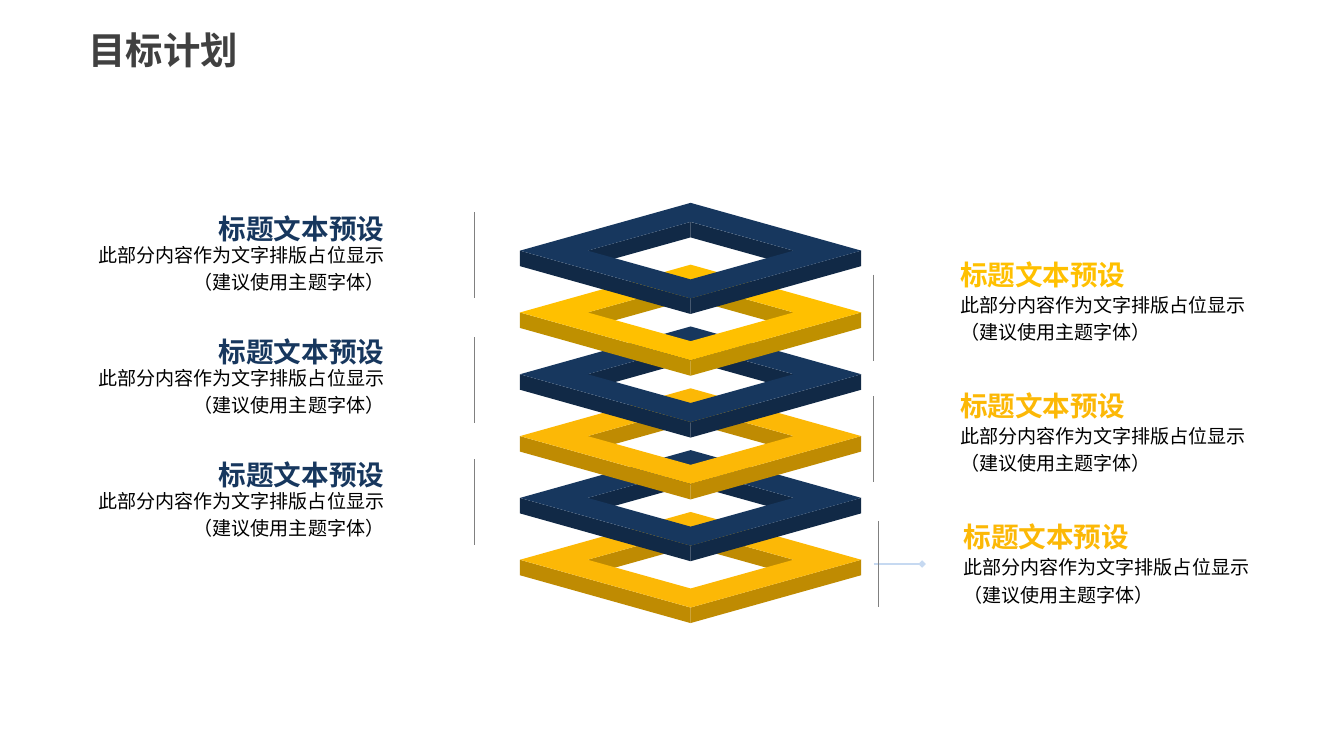
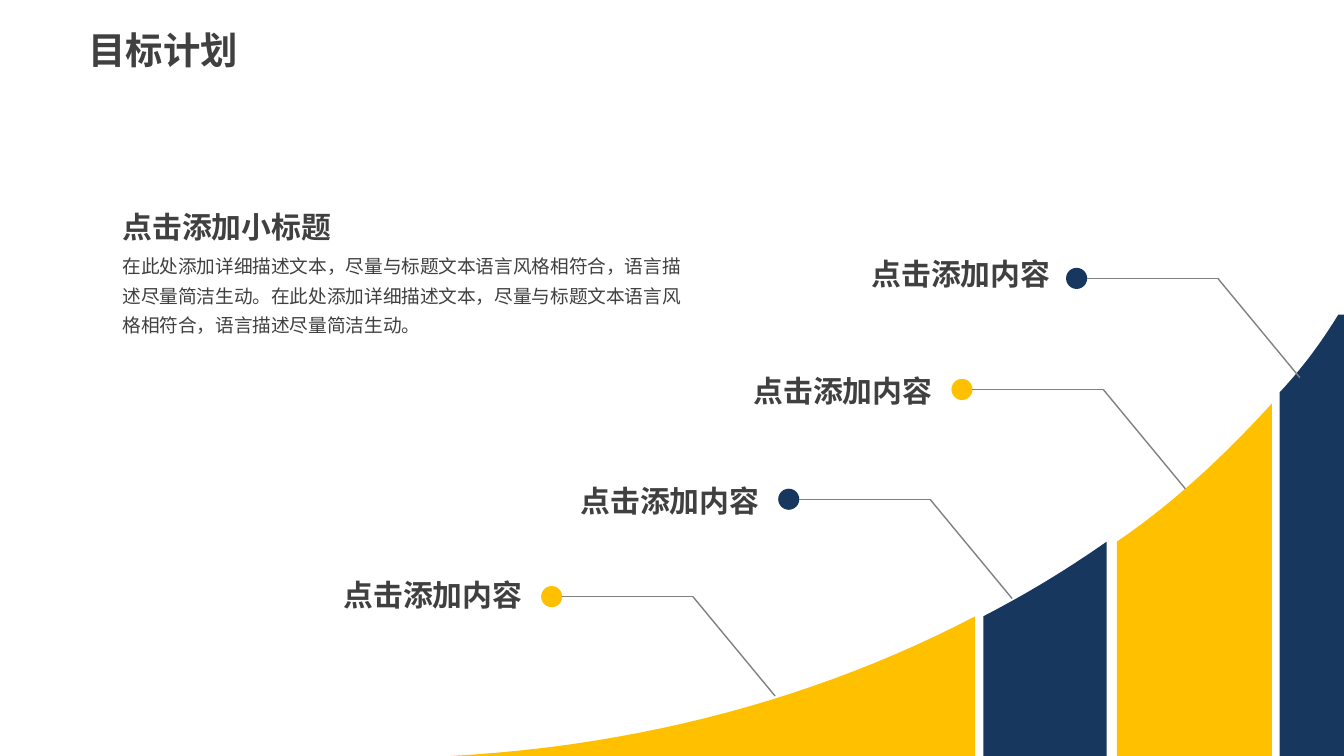
import pptx
import pptx.util
import pptx.dml.color
import pptx.enum.shapes
import pptx.enum.text
import pptx.oxml.ns
from lxml import etree

Pt = pptx.util.Pt
ALIGN = pptx.enum.text.PP_ALIGN
ANCHOR = pptx.enum.text.MSO_ANCHOR
qn = pptx.oxml.ns.qn

FONT = "Noto Sans CJK SC"
COLORS = {
    "navy": "17375E", "navy_side": "112946",
    "gold": "FFC000", "gold_side": "BF9000",
    "amber": "FCB806", "amber_side": "BF8B02",
    "ink": "404040", "black": "000000", "gray": "808080", "pale": "C6D9F1",
}
ITEM_TITLE = "标题文本预设"
ITEM_LINES = ["此部分内容作为文字排版占位显示", "（建议使用主题字体）"]
DESCRIPTION = "在此处添加详细描述文本，尽量与标题文本语言风格相符合，语言描述尽量简洁生动。" * 2


def color(name):
    return pptx.dml.color.RGBColor.from_string(COLORS[name])


def paint(shape, fill):
    shape.shadow.inherit = False
    shape.fill.solid()
    shape.fill.fore_color.rgb = color(fill)
    shape.line.fill.background()


def add_outline(slide, contours, fill):
    """Draw closed contours, given as lists of points, as one shape."""
    contours = [[(Pt(x), Pt(y)) for x, y in contour] for contour in contours]
    builder = slide.shapes.build_freeform(*contours[0][0])
    for index, contour in enumerate(contours):
        if index:
            builder.move_to(*contour[0])
        builder.add_line_segments(contour[1:], close=True)
    paint(builder.convert_to_shape(), fill)


def add_line(slide, start, end, line_color, width, tail=None):
    connector = slide.shapes.add_connector(
        pptx.enum.shapes.MSO_CONNECTOR.STRAIGHT, *map(Pt, start + end))
    connector.line.color.rgb = color(line_color)
    connector.line.width = Pt(width)
    if tail:
        etree.SubElement(connector.line._get_or_add_ln(), qn("a:tailEnd"),
                         type=tail, w="sm", len="sm")
    etree.SubElement(connector._element.spPr, qn("a:effectLst"))


def add_text_box(slide, box, anchor=ANCHOR.TOP, wrap=True, insets=(0, 0)):
    frame = slide.shapes.add_textbox(*map(Pt, box)).text_frame
    frame.word_wrap = wrap
    frame.vertical_anchor = anchor
    frame.margin_left = frame.margin_right = Pt(insets[0])
    frame.margin_top = frame.margin_bottom = Pt(insets[1])
    return frame


def write(paragraph, lines, size, text_color, bold=False, align=ALIGN.LEFT, spacing=None):
    paragraph.alignment = align
    if spacing:
        paragraph.line_spacing = spacing
    for index, line in enumerate(lines):
        if index:
            paragraph.add_line_break()
        run = paragraph.add_run()
        run.text = line
        run.font.size = Pt(size)
        run.font.bold = bold
        run.font.color.rgb = color(text_color)
        run.font.name = FONT
        etree.SubElement(run.font._element, qn("a:ea"), typeface=FONT)


def add_slide(presentation, title):
    slide = presentation.slides.add_slide(presentation.slide_layouts[6])
    frame = add_text_box(slide, (-14, 9.7, 203, 33.8), ANCHOR.MIDDLE, wrap=False)
    write(frame.paragraphs[0], [title], 20, "ink", True, ALIGN.CENTER)
    return slide


def add_ring(slide, center_x, top, fill):
    """Draw one flat square ring seen from above, with its lit face and dark sides."""
    half_width, half_height, depth = 91.4, 25.6, 8.3
    hole_width, hole_height = 55.2, 15.4
    middle = top + half_height

    def diamond(width, height):
        return [(center_x, middle - height), (center_x + width, middle),
                (center_x, middle + height), (center_x - width, middle)]

    def wall(start, end):
        return [start, end, (end[0], end[1] + depth), (start[0], start[1] + depth)]

    face, hole = diamond(half_width, half_height), diamond(hole_width, hole_height)
    side = fill + "_side"
    add_outline(slide, [wall(hole[3], hole[0])], side)
    add_outline(slide, [wall(hole[0], hole[1]), wall(face[3], face[2])], side)
    add_outline(slide, [wall(face[2], face[1])], side)
    add_outline(slide, [face, hole], fill)


def add_item(slide, left, top, title_color, align, anchor):
    """Place a heading over two lines of text in a column 163.4 points wide."""
    width, title_width, title_height = 163.4, 92, 14.4
    title_left = left + width - title_width if align == ALIGN.RIGHT else left
    body = add_text_box(slide, (left, top + title_height, width, 31), anchor)
    write(body.paragraphs[0], ITEM_LINES, 10.2, "black", align=align, spacing=1.2)
    title = add_text_box(slide, (title_left, top, title_width, title_height), anchor, wrap=False)
    write(title.paragraphs[0], [ITEM_TITLE], 14.8, title_color, True, align)


def build_stack_slide(presentation):
    slide = add_slide(presentation, "目标计划")
    rings = ["navy", "gold", "navy", "amber", "navy", "amber"]
    for index, fill in reversed(list(enumerate(rings))):
        add_ring(slide, 370, 108.7 + 33.12 * index, fill)

    add_line(slide, (468, 302.2), (494, 302.2), "pale", 1, tail="diamond")
    rules = [(254.2, 113.6), (254.2, 180.6), (254.2, 246),
             (468, 147.2), (468, 212.3), (470.6, 279)]
    for x, top in rules:
        add_line(slide, (x, top), (x, top + 46.2), "gray", 0.5)

    for index in range(3):
        add_item(slide, 42.4, 113.6 + 65.9 * index, "navy", ALIGN.RIGHT, ANCHOR.TOP)
    for index, (left, fill) in enumerate([(514.4, "gold"), (514.4, "amber"), (516.2, "amber")]):
        add_item(slide, left, 139.6 + 70.2 * index, fill, ALIGN.LEFT, ANCHOR.MIDDLE)


def curve(start, control_1, control_2, end, steps=24):
    """Return points along a cubic Bezier curve."""
    points = []
    for step in range(steps + 1):
        t = step / steps
        weights = ((1 - t) ** 3, 3 * t * (1 - t) ** 2, 3 * t * t * (1 - t), t ** 3)
        points.append(tuple(
            sum(weight * value for weight, value in zip(weights, values))
            for values in zip(start, control_1, control_2, end)))
    return points


def add_growth_area(slide, bottom):
    """Fill the area under the rising curve, in bands of alternating colour."""
    bands = [
        ("gold", [(241.2, 405), (344.2, 399.6), (440.6, 373), (522.4, 330.2)], []),
        ("navy", [(526.8, 330.2), (550.1, 318.2), (572.4, 304.6), (592.9, 290.2)], []),
        ("navy", [(685.6, 210.2), (697.7, 197.3), (707.8, 183.6), (717, 168.6)], [(720, 168.6)]),
        ("gold", [(598.4, 290.2), (630, 268.6), (656.6, 243.4), (681.4, 216.2)], []),
    ]
    for fill, controls, extra in bands:
        top = curve(*controls) + extra
        add_outline(slide, [top + [(top[-1][0], bottom), (top[0][0], bottom)]], fill)


def add_callout(slide, dot_left, dot_top, fill, label_left, label_top):
    """Place a label, a dot and a bent leader that runs down to the curve."""
    size = 11.3
    dot = slide.shapes.add_shape(
        pptx.enum.shapes.MSO_SHAPE.OVAL, *map(Pt, (dot_left, dot_top, size, size)))
    paint(dot, fill)
    middle = dot_top + size / 2
    bend = (dot_left + 81.3, middle)
    add_line(slide, (bend[0] + 44, middle + 53.2), bend, "gray", 0.75)
    add_line(slide, bend, (dot_left + size, middle), "gray", 0.75)
    frame = add_text_box(slide, (label_left, label_top, 110.9, 24.5), insets=(5, 2.6))
    frame.auto_size = pptx.enum.text.MSO_AUTO_SIZE.SHAPE_TO_FIT_TEXT
    write(frame.paragraphs[0], ["点击添加内容"], 16, "ink", True, ALIGN.CENTER)


def build_growth_slide(presentation):
    slide = add_slide(presentation, "目标计划")
    add_growth_area(slide, 405)
    frame = add_text_box(slide, (60.7, 109.4, 316.8, 82.1), insets=(5, 2.6))
    write(frame.paragraphs[0], ["点击添加小标题"], 16, "ink", True)
    paragraph = frame.add_paragraph()
    paragraph.space_before = Pt(2)
    write(paragraph, [DESCRIPTION], 10, "ink", spacing=1.3)
    callouts = [
        (416.9, 261.8, "navy", 303.5, 256),
        (289.9, 314, "gold", 176.6, 306.4),
        (509.7, 203, "gold", 396.2, 197),
        (571.1, 143.5, "navy", 459.4, 134.6),
    ]
    for callout in callouts:
        add_callout(slide, *callout)


def main():
    presentation = pptx.Presentation()
    presentation.slide_width = Pt(720)
    presentation.slide_height = Pt(405)
    build_stack_slide(presentation)
    build_growth_slide(presentation)
    presentation.save("out.pptx")


if __name__ == "__main__":
    main()
